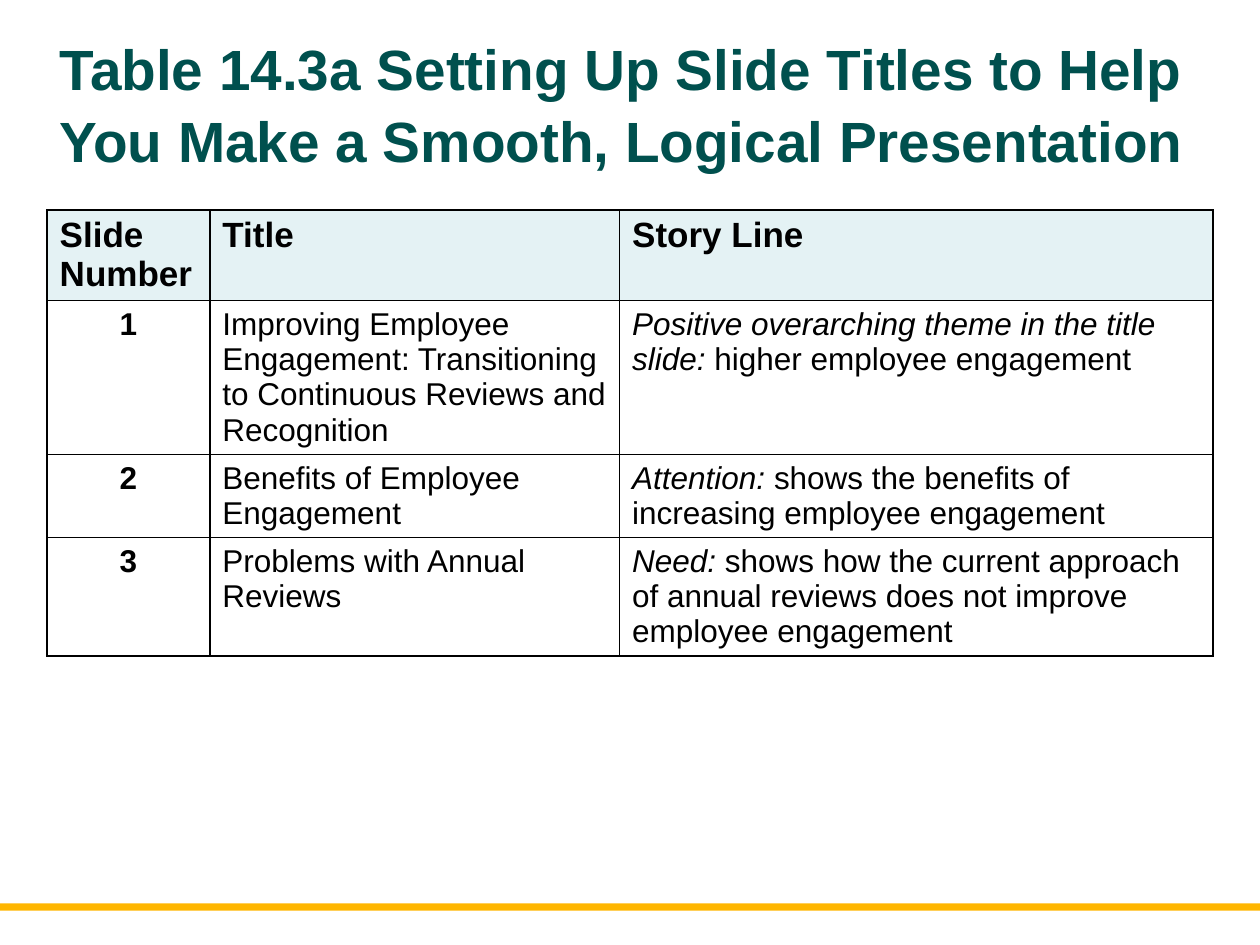
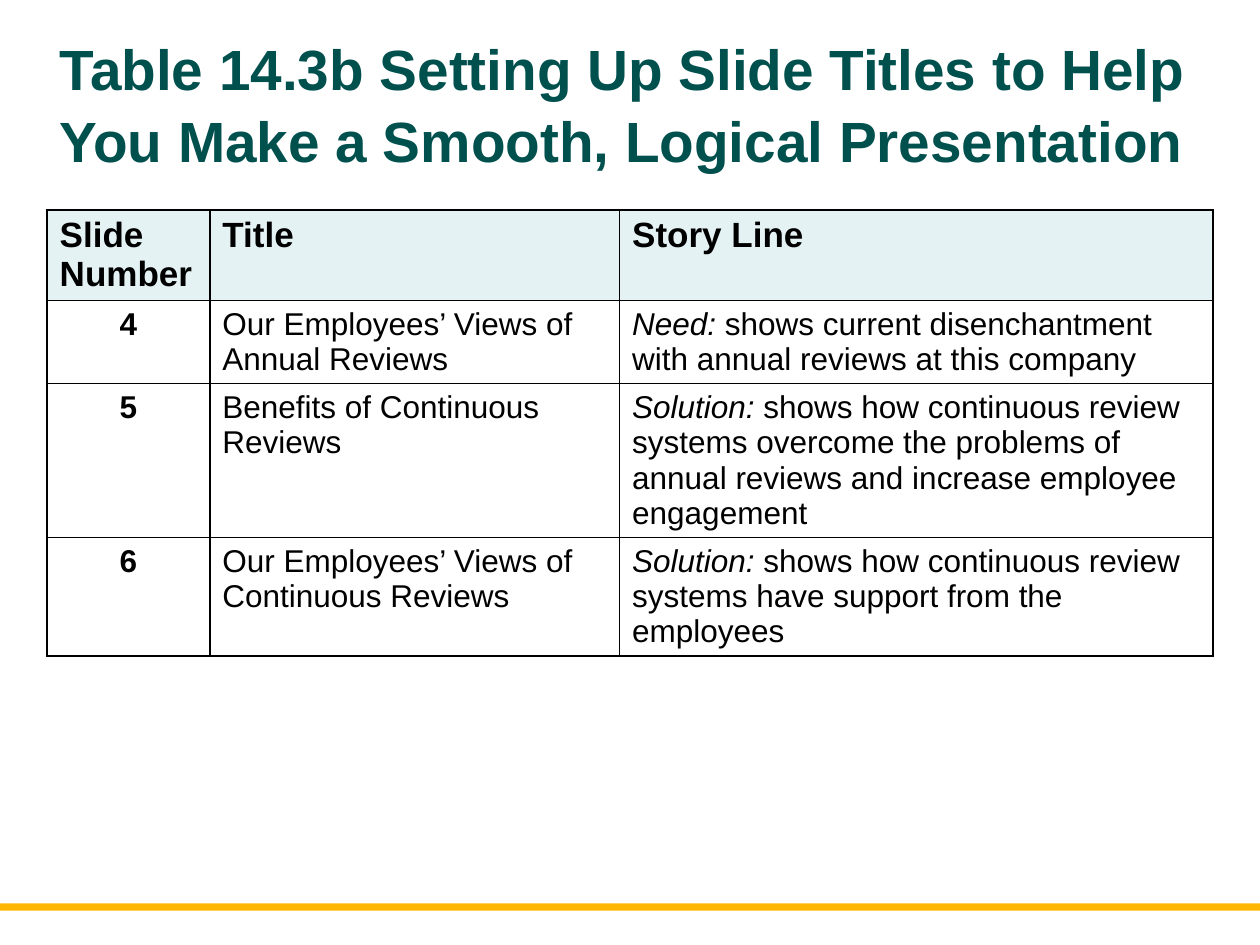
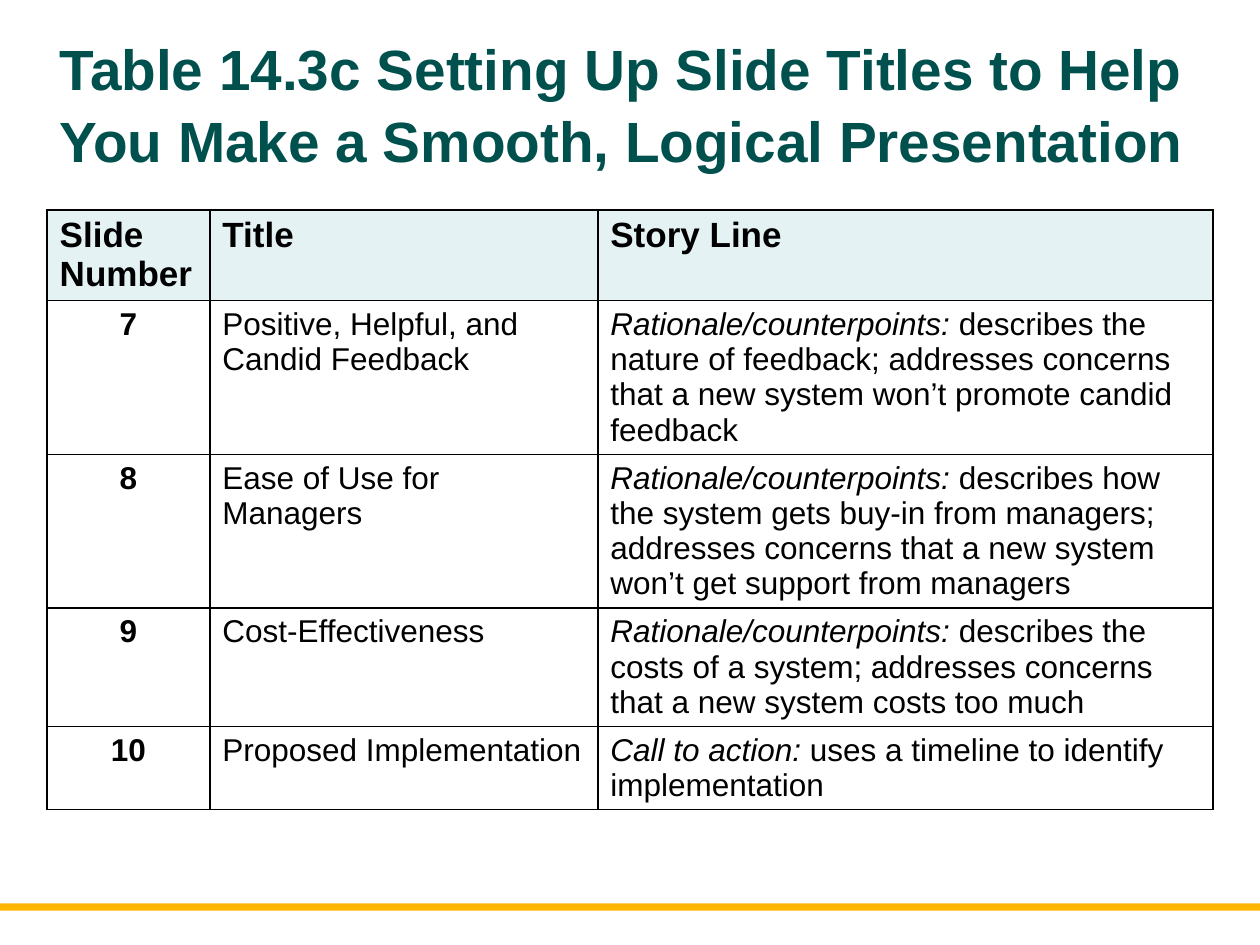
import pptx
import pptx.util
import pptx.dml.color
import pptx.enum.shapes
import pptx.enum.text
import pptx.oxml
import pptx.oxml.ns

Cm = pptx.util.Cm
Pt = pptx.util.Pt

# Shared look
COLORS = {"title": "00504E", "text": "000000", "header": "E4F2F4",
          "border": "000000", "rule": "FFB600"}
FONT = "Arial"
SLIDE_WIDTH, SLIDE_HEIGHT = 25.4, 19.05
MARGIN = 0.95
CONTENT_WIDTH = SLIDE_WIDTH - 2 * MARGIN
TITLE_CENTER = 2.06
TABLE_TOP = 4.23
NUMBER_WIDTH = 3.28
ROW_HEIGHT = 1.04

TITLE = "Table 14.3{} Setting Up Slide Titles to Help You Make a Smooth, Logical Presentation"
HEADERS = ("Slide Number", "Title", "Story Line")

# Each part: letter, title height, title column width, table height,
# rows of (title, stage of the story, explanation)
PARTS = [
    ("a", 2.69, 8.26, 9.58, [
        ("Improving Employee Engagement: Transitioning to Continuous Reviews and Recognition",
         "Positive overarching theme in the title slide:", "higher employee engagement"),
        ("Benefits of Employee Engagement",
         "Attention:", "shows the benefits of increasing employee engagement"),
        ("Problems with Annual Reviews",
         "Need:", "shows how the current approach of annual reviews does not "
         "improve employee engagement"),
    ]),
    ("b", 2.95, 8.26, 9.58, [
        ("Our Employees’ Views of Annual Reviews",
         "Need:", "shows current disenchantment with annual reviews at this company"),
        ("Benefits of Continuous Reviews",
         "Solution:", "shows how continuous review systems overcome the problems of "
         "annual reviews and increase employee engagement"),
        ("Our Employees’ Views of Continuous Reviews",
         "Solution:", "shows how continuous review systems have support from the employees"),
    ]),
    ("c", 2.95, 7.82, 12.88, [
        ("Positive, Helpful, and Candid Feedback",
         "Rationale/counterpoints:", "describes the nature of feedback; addresses "
         "concerns that a new system won’t promote candid feedback"),
        ("Ease of Use for Managers",
         "Rationale/counterpoints:", "describes how the system gets buy-in from managers; "
         "addresses concerns that a new system won’t get support from managers"),
        ("Cost-Effectiveness",
         "Rationale/counterpoints:", "describes the costs of a system; addresses "
         "concerns that a new system costs too much"),
        ("Proposed Implementation",
         "Call to action:", "uses a timeline to identify implementation"),
    ]),
]


def rgb(name):
    return pptx.dml.color.RGBColor.from_string(COLORS[name])


def format_run(run, size, color, bold=False, italic=False):
    run.font.name = FONT
    run.font.size = Pt(size)
    run.font.bold = bold
    run.font.italic = italic
    run.font.color.rgb = rgb(color)


def add_master_rule(prs, slide):
    """Draw the footer rule and move it to the master, where all slides share it."""
    rule = slide.shapes.add_shape(pptx.enum.shapes.MSO_SHAPE.RECTANGLE,
                                  0, Cm(18.21), Cm(SLIDE_WIDTH), Cm(0.15))
    rule.shadow.inherit = False
    rule.fill.solid()
    rule.fill.fore_color.rgb = rgb("rule")
    rule.line.fill.background()
    rule.element.nvSpPr.cNvPr.id = 20
    prs.slide_master.element.cSld.spTree.append(rule.element)


def set_title(slide, text, height):
    heading = slide.shapes.title
    heading.left, heading.width = Cm(MARGIN), Cm(CONTENT_WIDTH)
    heading.top, heading.height = Cm(TITLE_CENTER - height / 2), Cm(height)
    frame = heading.text_frame
    frame.text = text
    frame.word_wrap = True
    frame.auto_size = pptx.enum.text.MSO_AUTO_SIZE.NONE
    frame.vertical_anchor = pptx.enum.text.MSO_ANCHOR.MIDDLE
    paragraph = frame.paragraphs[0]
    paragraph.alignment = pptx.enum.text.PP_ALIGN.LEFT
    paragraph.line_spacing = 1.05
    format_run(paragraph.runs[0], 32.4, "title", bold=True)


def set_borders(cell):
    properties = cell._tc.get_or_add_tcPr()
    for position, side in enumerate("LRTB"):
        properties.insert(position, pptx.oxml.parse_xml(
            f'<a:ln{side} {pptx.oxml.ns.nsdecls("a")} w="12700"><a:solidFill>'
            f'<a:srgbClr val="{COLORS["border"]}"/></a:solidFill></a:ln{side}>'))


def fill_cell(cell, text, size=18, bold=False, centered=False, fill=None):
    cell.text_frame.text = text
    paragraph = cell.text_frame.paragraphs[0]
    if centered:
        paragraph.alignment = pptx.enum.text.PP_ALIGN.CENTER
    format_run(paragraph.runs[0], size, "text", bold)
    if fill:
        cell.fill.solid()
        cell.fill.fore_color.rgb = rgb(fill)
    else:
        cell.fill.background()
    set_borders(cell)
    return paragraph


def add_story_table(slide, first_number, title_width, height, rows):
    frame = slide.shapes.add_table(len(rows) + 1, len(HEADERS), Cm(MARGIN), Cm(TABLE_TOP),
                                   Cm(CONTENT_WIDTH), Cm(height))
    table = frame.table
    table.horz_banding = False
    widths = (NUMBER_WIDTH, title_width, CONTENT_WIDTH - NUMBER_WIDTH - title_width)
    for column, width in zip(table.columns, widths):
        column.width = Cm(width)
    # Rows start low and grow with their text
    for row in table.rows:
        row.height = Cm(ROW_HEIGHT)
    frame.height = Cm(height)

    for column, header in enumerate(HEADERS):
        fill_cell(table.cell(0, column), header, size=20, bold=True, fill="header")
    for row, (title, stage, explanation) in enumerate(rows, 1):
        fill_cell(table.cell(row, 0), str(first_number + row - 1), bold=True, centered=True)
        fill_cell(table.cell(row, 1), title)
        story = fill_cell(table.cell(row, 2), stage)
        story.runs[0].font.italic = True
        detail = story.add_run()
        detail.text = " " + explanation
        format_run(detail, 18, "text")


def main():
    prs = pptx.Presentation()
    prs.slide_width, prs.slide_height = Cm(SLIDE_WIDTH), Cm(SLIDE_HEIGHT)
    title_only = prs.slide_layouts[5]
    number = 1
    for letter, title_height, title_width, table_height, rows in PARTS:
        slide = prs.slides.add_slide(title_only)
        if number == 1:
            add_master_rule(prs, slide)
        set_title(slide, TITLE.format(letter), title_height)
        add_story_table(slide, number, title_width, table_height, rows)
        number += len(rows)
    prs.save("out.pptx")


main()
